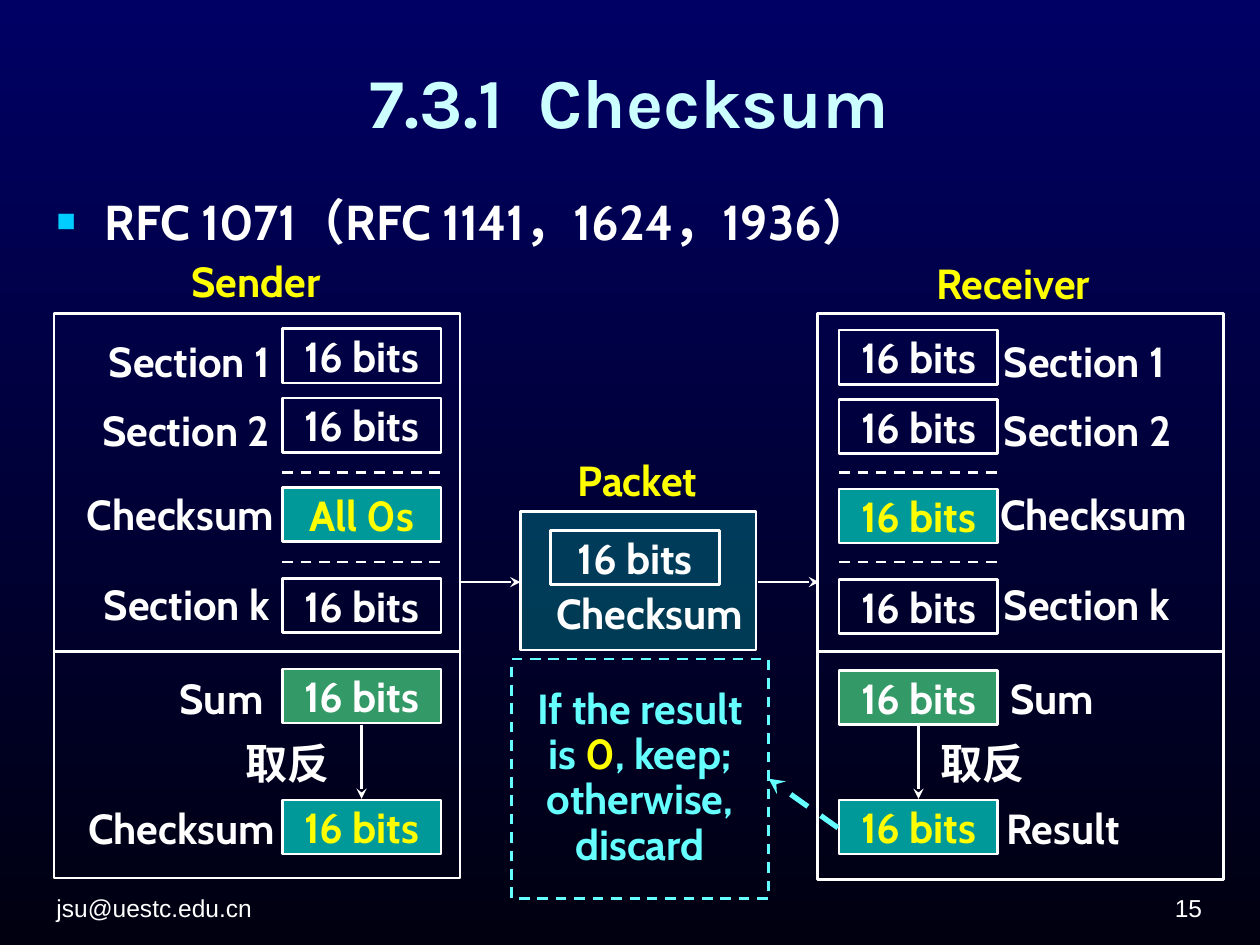
"""Build the checksum slide: sender, packet and receiver."""
from dataclasses import dataclass

from lxml import etree
from pptx import Presentation
from pptx import util as u
from pptx.dml.color import RGBColor
from pptx.enum import dml, shapes, text
from pptx.oxml import ns

HUES = {
    "top": "000064", "base": "000010", "white": "FFFFFF", "title": "CCFFFF",
    "bullet": "00CCFF", "teal": "009999", "green": "339966",
    "yellow": "FFFF00", "cyan": "66FFFF",
}
LEFT, MID, RIGHT = text.PP_ALIGN.LEFT, text.PP_ALIGN.CENTER, text.PP_ALIGN.RIGHT
TOP, CORE, LOW = (text.MSO_ANCHOR.TOP, text.MSO_ANCHOR.MIDDLE,
                  text.MSO_ANCHOR.BOTTOM)
CELL_W, CELL_H, LABEL_W, LABEL_H = 1.26, 0.43, 1.9, 0.5


@dataclass
class Area:
    x: float
    y: float
    w: float
    h: float


@dataclass
class Run:
    words: str
    hue: str = "white"
    size: float = 24
    face: str = "Cabin"
    bold: bool = True


@dataclass
class Row:
    label: str
    y: float
    drop: float
    shift: float = 0
    fill: str | None = None
    ink: str = "white"
    value: str = "16 bits"


@dataclass
class Side:
    name: str
    head: Area
    panel: float
    cell: float
    edge: float
    align: text.PP_ALIGN
    step: float
    flip: float
    rows: list[Row]


def tint(key: str) -> RGBColor:
    """Return the named colour."""
    return RGBColor.from_string(HUES[key])


def write(shape, runs: list[Run], align=MID, anchor=CORE):
    """Fill a shape with one paragraph of runs and return the paragraph."""
    frame = shape.text_frame
    frame.word_wrap = True
    frame.vertical_anchor = anchor
    para = frame.paragraphs[0]
    para.alignment = align
    for item in runs:
        run = para.add_run()
        run.text = item.words
        font = run.font
        font.name, font.size, font.bold = item.face, u.Pt(item.size), item.bold
        font.color.rgb = tint(item.hue)
    return para


def place(area: Area) -> list[u.Length]:
    """Turn an area into lengths."""
    return [u.Inches(n) for n in (area.x, area.y, area.w, area.h)]


def note(slide, area: Area, run: Run, align=MID, anchor=CORE):
    """Add a text box and return its paragraph."""
    return write(slide.shapes.add_textbox(*place(area)), [run], align, anchor)


def box(slide, area: Area, fill: str | None = None, edge: str = "white"):
    """Add a framed box and return it."""
    shape = slide.shapes.add_shape(shapes.MSO_SHAPE.RECTANGLE, *place(area))
    shape.shadow.inherit = False
    if fill:
        shape.fill.solid()
        shape.fill.fore_color.rgb = tint(fill)
    else:
        shape.fill.background()
    shape.line.color.rgb = tint(edge)
    shape.line.width = u.Pt(1.5)
    return shape


def link(slide, start: tuple[float, float], end: tuple[float, float],
         hue: str = "white", width: float = 1.5, dash=False, head=True) -> None:
    """Draw a line, dashed or with an arrowhead as asked."""
    line = slide.shapes.add_connector(
        shapes.MSO_CONNECTOR.STRAIGHT, *[u.Inches(n) for n in start + end])
    line.line.color.rgb = tint(hue)
    line.line.width = u.Pt(width)
    if dash:
        line.line.dash_style = dml.MSO_LINE.DASH
    if head:
        etree.SubElement(line.line._get_or_add_ln(), ns.qn("a:tailEnd"),
                         type="stealth")
    etree.SubElement(line._element.spPr, ns.qn("a:effectLst"))


def draw(slide, side: Side) -> None:
    """Draw one end of the exchange."""
    note(slide, side.head, Run(side.name, "yellow"))
    box(slide, Area(side.panel, 2.49, 3.22, 2.68))
    box(slide, Area(side.panel, 5.17, 3.22, 1.8 + side.step))
    for row in side.rows:
        cell = box(slide, Area(side.cell, row.y + side.step, CELL_W, CELL_H),
                   row.fill)
        write(cell, [Run(row.value, row.ink)])
        x = side.edge + side.flip * row.shift
        if side.align == RIGHT:
            x -= LABEL_W
        note(slide, Area(x, row.drop, LABEL_W, LABEL_H), Run(row.label),
             side.align)
    for y in (3.75, 4.46):
        link(slide, (side.cell, y), (side.cell + CELL_W, y), dash=True,
             head=False)
    mid = side.cell + CELL_W / 2
    link(slide, (mid, 5.75), (mid, 6.34))


def list_rows(value: str, last: Row) -> list[Row]:
    """List the rows of one side, with its checksum value and last row."""
    return [
        Row("Section 1", 2.61, 2.61),
        Row("Section 2", 3.16, 3.16),
        Row("Checksum", 3.87, 3.83, 0.03, "teal", "yellow", value),
        Row("Section k", 4.59, 4.54),
        Row("Sum", 5.31, 5.29, -0.05, "green"),
        last,
    ]


def mark(para) -> None:
    """Give a paragraph a square bullet with a hanging indent."""
    props = para._p.get_or_add_pPr()
    props.set("marL", str(u.Inches(0.38)))
    props.set("indent", str(-u.Inches(0.38)))
    hue = etree.SubElement(props, ns.qn("a:buClr"))
    etree.SubElement(hue, ns.qn("a:srgbClr"), val=HUES["bullet"])
    etree.SubElement(props, ns.qn("a:buSzPct"), val="65000")
    etree.SubElement(props, ns.qn("a:buFont"), typeface="Arial")
    etree.SubElement(props, ns.qn("a:buChar"), char="■")


def main() -> None:
    """Build and save the slide."""
    deck = Presentation()
    deck.slide_width, deck.slide_height = u.Inches(10), u.Inches(7.5)
    slide = deck.slides.add_slide(deck.slide_layouts[6])
    back = slide.background.fill
    back.gradient()
    back.gradient_angle = 270
    for stop, key, spot in zip(back.gradient_stops, ("top", "base"), (0, 1)):
        stop.color.rgb, stop.position = tint(key), spot

    note(slide, Area(0.35, 0.13, 9.29, 1.34),
         Run("7.3.1  Checksum", "title", 40, "Karla"))
    mark(note(slide, Area(0.35, 1.47, 9.29, 0.6),
              Run("RFC 1071（RFC 1141，1624，1936）", size=28), LEFT, TOP))
    for x, words, align in ((0.35, "jsu@uestc.edu.cn", LEFT), (7.31, "15", RIGHT)):
        note(slide, Area(x, 6.9, 2.33, 0.47),
             Run(words, size=14, face="Arial", bold=False), align, LOW)

    sends = list_rows("All 0s", Row("Checksum", 6.35, 6.32, 0.04, "teal", "yellow"))
    gets = list_rows("16 bits", Row("Result", 6.34, 6.32, -0.02, "teal", "yellow"))
    draw(slide, Side("Sender", Area(1.14, 1.98, 1.78, LABEL_H), 0.43, 2.24,
                     2.24, RIGHT, 0, 1, sends))
    draw(slide, Side("Receiver", Area(7.15, 1.99, 1.78, LABEL_H), 6.49, 6.66,
                     7.87, LEFT, 0.01, -1, gets))
    for x in (1.77, 7.29):
        note(slide, Area(x, 5.8, 0.94, LABEL_H), Run("取反"), RIGHT)

    pack = box(slide, Area(4.13, 4.06, 1.87, 1.1), "teal")
    shade = pack._element.spPr.find(".//" + ns.qn("a:srgbClr"))
    etree.SubElement(shade, ns.qn("a:alpha"), val="39000")
    write(box(slide, Area(4.37, 4.21, 1.34, CELL_H)), [Run("16 bits")])
    note(slide, Area(4.13, 4.61, 2.05, LABEL_H), Run("Checksum"))
    note(slide, Area(4.21, 3.56, 1.7, LABEL_H), Run("Packet", "yellow"))
    link(slide, (3.66, 4.62), (4.13, 4.62))
    link(slide, (6.02, 4.62), (6.5, 4.62))

    rule = box(slide, Area(4.06, 5.23, 2.04, 1.9), edge="cyan")
    rule.line.dash_style = dml.MSO_LINE.DASH
    write(rule, [Run("If the result is ", "cyan"), Run("0", "yellow"),
                 Run(", keep; otherwise, discard", "cyan")]).line_spacing = 0.9
    link(slide, (6.65, 6.57), (6.1, 6.18), "cyan", 3, dash=True)
    deck.save("out.pptx")


if __name__ == "__main__":
    main()
